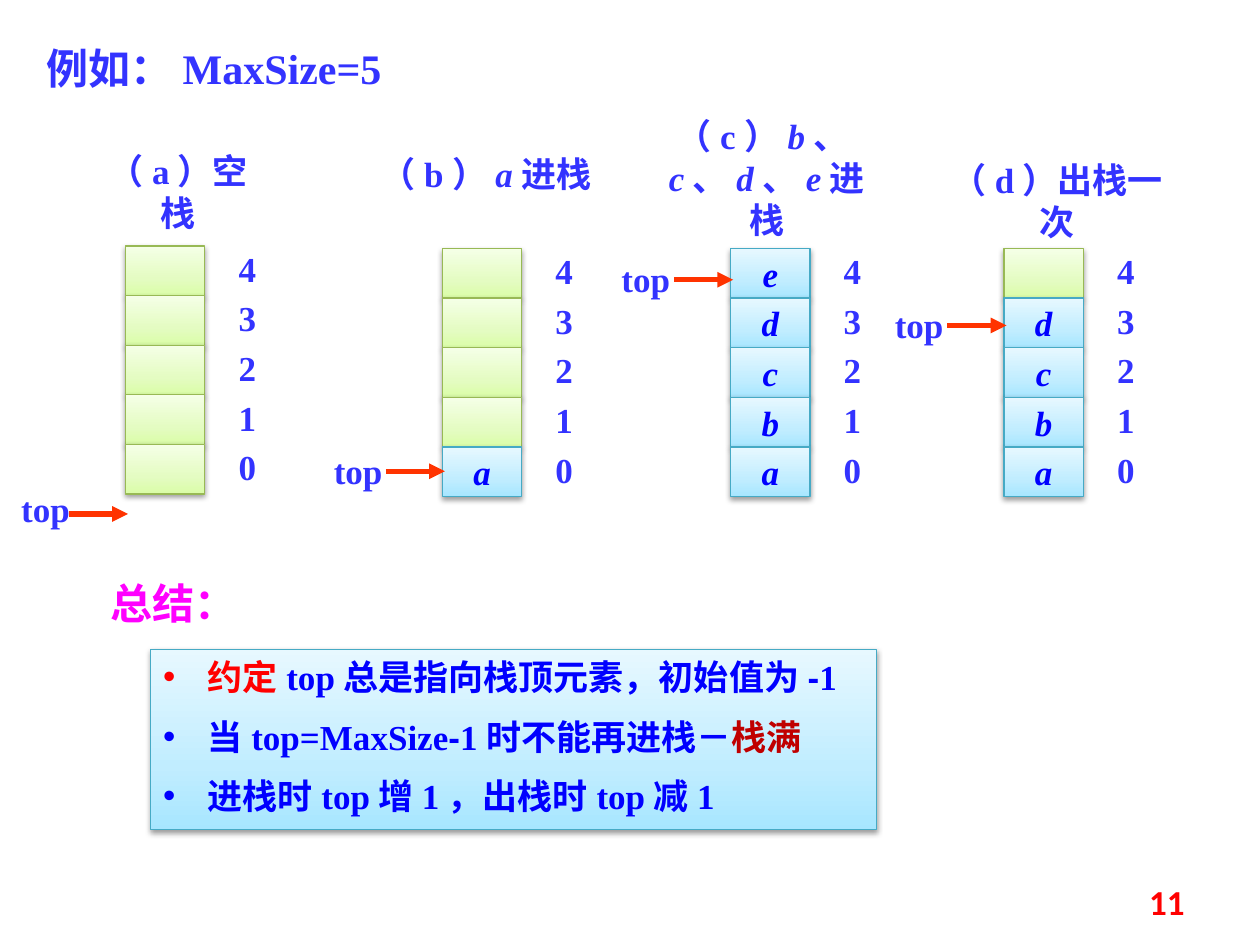
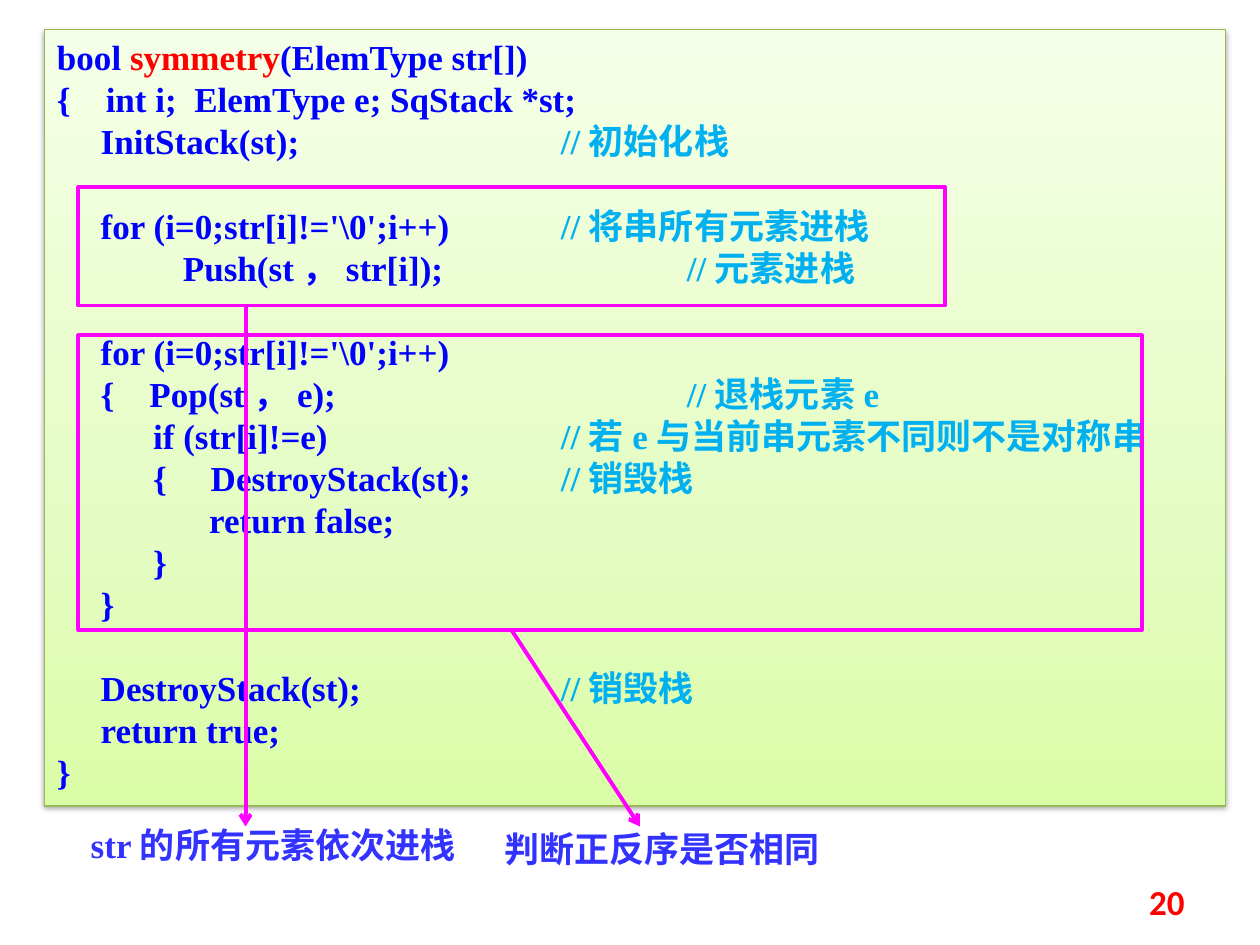
"""Build two lecture slides: sequential stack states and a symmetry check with a stack."""
from lxml import etree
from pptx import Presentation
from pptx.dml.color import RGBColor
from pptx.enum import shapes, text as t
from pptx.oxml.ns import qn
from pptx.util import Cm, Inches, Pt

INDIGO = RGBColor(0x33, 0x33, 0xFF)
BLUE = RGBColor(0x00, 0x00, 0xFF)
RED = RGBColor(0xFF, 0x00, 0x00)
DARK_RED = RGBColor(0xC0, 0x00, 0x00)
ORANGE = RGBColor(0xFF, 0x33, 0x00)
MAGENTA = RGBColor(0xFF, 0x00, 0xFF)
SKY = RGBColor(0x00, 0xB0, 0xF0)
GREEN_LINE = RGBColor(0x98, 0xB9, 0x55)
AQUA_LINE = RGBColor(0x46, 0xAA, 0xC5)
GREEN = (GREEN_LINE, ("DAFDA7", "E4FCC2", "F5FFE7"))
AQUA = (AQUA_LINE, ("A7E6FF", "C1EDFF", "E7F8FF"))
SERIF = "Times New Roman"
CHINESE = "Noto Sans CJK SC"
CENTER = t.PP_ALIGN.CENTER
MIDDLE = t.MSO_ANCHOR.MIDDLE


def make_panel(page, place, theme):
    """Add a shadowed rectangle with a vertical gradient."""
    line_color, stops = theme
    panel = page.shapes.add_shape(shapes.MSO_SHAPE.RECTANGLE, *map(Cm, place))
    panel.fill.gradient()
    panel.fill.gradient_angle = 90
    stop_list = panel._element.spPr.find(".//" + qn("a:gsLst"))
    for old_stop in list(stop_list):
        stop_list.remove(old_stop)
    for position, stop_color in zip((0, 35000, 100000), stops):
        stop = etree.SubElement(stop_list, qn("a:gs"), pos=str(position))
        etree.SubElement(stop, qn("a:srgbClr"), val=stop_color)
    panel.line.color.rgb = line_color
    panel.line.width = Pt(0.75)
    panel.shadow.inherit = False
    effects = panel._element.spPr.find(qn("a:effectLst"))
    shadow = etree.SubElement(effects, qn("a:outerShdw"), blurRad="40000", dist="20000",
                              dir="5400000", rotWithShape="0")
    tint = etree.SubElement(shadow, qn("a:srgbClr"), val="000000")
    etree.SubElement(tint, qn("a:alpha"), val="38000")
    return panel


def write(page, place, paragraphs, theme=None, size=20, font=SERIF, color=INDIGO, bold=True,
          italic=False, align=t.PP_ALIGN.LEFT, anchor=t.MSO_ANCHOR.TOP, bullet=None, gaps=None,
          tab_count=0):
    """Write paragraphs of spans into a text box, or into a panel when a theme is given."""
    box = make_panel(page, place, theme) if theme else page.shapes.add_textbox(*map(Cm, place))
    frame = box.text_frame
    frame.word_wrap = True
    frame.vertical_anchor = anchor
    for index, spans in enumerate(paragraphs):
        para = frame.paragraphs[0] if index == 0 else frame.add_paragraph()
        properties = para._p.get_or_add_pPr()
        if bullet:
            properties.set("marL", str(Cm(0.9)))
            properties.set("indent", str(-Cm(0.9)))
            etree.SubElement(properties, qn("a:buFont"), typeface="Arial")
            etree.SubElement(properties, qn("a:buChar"), char=bullet)
        if tab_count:
            tabs = etree.SubElement(properties, qn("a:tabLst"))
            for number in range(1, tab_count + 1):
                etree.SubElement(tabs, qn("a:tab"), pos=str(Inches(number)), algn="l")
        para.alignment = align
        para.line_spacing = Pt(size * 1.2)
        if gaps and index in gaps:
            para.space_before = Pt(gaps[index])
        for content, changes in spans:
            span = para.add_run()
            span.text = content
            span.font.size = Pt(size)
            span.font.bold = bold
            span.font.italic = changes.get("italic", italic)
            span.font.color.rgb = changes.get("color", color)
            span.font.name = changes.get("font", font)
            etree.SubElement(span._r.get_or_add_rPr(), qn("a:ea"), typeface=CHINESE)


deck = Presentation()
deck.slide_width, deck.slide_height = Cm(25.4), Cm(19.05)
stack_page, code_page = [deck.slides.add_slide(deck.slide_layouts[6]) for _ in range(2)]
arrows = []

write(stack_page, (0.69, 0.73, 8.2, 1.27), [[("例如：MaxSize=5", {})]], size=24)

ITALIC = {"italic": True}
stacks = [
    (2.53, 4.96, "", 10.36, (0.12, 9.7), (1.6, 2.88, 3.99, 1.09), [("（a）空栈", {})]),
    (8.92, 5.01, "a", 9.5, (6.42, 8.94), (7.4, 2.95, 4.8, 1.09),
     [("（b）", {}), ("a", ITALIC), ("进栈", {})]),
    (14.73, 5.01, "abcde", 5.64, (12.22, 5.06), (13.21, 2.18, 4.5, 1.96),
     [("（c）", {}), ("b", ITALIC), ("、", {}), ("c", ITALIC), ("、", {}), ("d", ITALIC),
      ("、", {}), ("e", ITALIC), ("进栈", {})]),
    (20.24, 5.01, "abcd", 6.56, (17.73, 5.99), (18.72, 3.07, 5.18, 1.09), [("（d）出栈一次", {})]),
]
for left, top, elements, arrow_y, label_corner, caption_place, caption in stacks:
    for row in range(5):
        index = 4 - row
        cell = (left, top + row, 1.6, 1)
        if index < len(elements):
            write(stack_page, cell, [[(elements[index], {})]], theme=AQUA, color=BLUE,
                  italic=True, align=CENTER, anchor=MIDDLE)
        else:
            make_panel(stack_page, cell, GREEN)
        write(stack_page, (left + 1.86, top + row - 0.1, 1.19, 1.09), [[(str(index), {})]],
              align=CENTER)
    arrows.append((stack_page, (left - 1.14, arrow_y, left + 0.05, arrow_y), ORANGE, 3, "triangle"))
    write(stack_page, (*label_corner, 1.6, 1.09), [[("top", {})]], align=CENTER)
    write(stack_page, caption_place, [caption], align=CENTER)

write(stack_page, (1.98, 11.51, 3.61, 1.27), [[("总结：", {})]], size=24, font=CHINESE,
      color=MAGENTA)
summary = [
    [("约定", {"color": RED}), ("top总是指向栈顶元素，初始值为", {}), ("-", {"font": "Arial"}),
     ("1", {})],
    [("当top=MaxSize", {}), ("-", {"font": "Arial"}), ("1时不能再进栈－", {}),
     ("栈满", {"color": DARK_RED})],
    [("进栈时top增1，出栈时top减1", {})],
]
write(stack_page, (3.04, 13.09, 14.63, 3.64), summary, theme=AQUA, color=BLUE, bullet="•",
      gaps={1: 10, 2: 10})

NOTE = {"color": SKY}
code = [
    [("bool ", {}), ("symmetry", {"color": RED}), ("(ElemType str[])", {})],
    [("{    int i;  ElemType e; SqStack *st;", {})],
    [("     InitStack(st);\t\t\t", {}), ("//初始化栈", NOTE)],
    [("     for (i=0;str[i]!='\\0';i++)\t", {}), ("//将串所有元素进栈", NOTE)],
    [("\tPush(st，str[i]);\t\t", {}), ("//元素进栈", NOTE)],
    [("     for (i=0;str[i]!='\\0';i++)", {})],
    [("     {    Pop(st，e);\t\t\t", {}), ("//退栈元素e", NOTE)],
    [("           if (str[i]!=e)\t \t", {}), ("//若e与当前串元素不同则不是对称串", NOTE)],
    [("           {     DestroyStack(st);\t", {}), ("//销毁栈", NOTE)],
    [("\t   return false;", {})],
    [("           }", {})],
    [("     }", {})],
    [("     DestroyStack(st);\t \t", {}), ("//销毁栈", NOTE)],
    [("     return true;", {})],
    [("}", {})],
]
write(code_page, (0.9, 0.6, 23.8, 15.65), code, theme=GREEN, color=BLUE,
      gaps={3: 24, 5: 24, 12: 24}, tab_count=5)

steps = [
    ((1.58, 3.77, 17.48, 2.39), (1.58, 16.48, 8.94, 1.12), "str的所有元素依次进栈",
     (4.95, 6.15, 4.95, 16.66)),
    ((1.58, 6.76, 21.44, 5.94), (9.92, 16.56, 7.14, 1.12), "判断正反序是否相同",
     (10.31, 12.7, 12.9, 16.66)),
]
for outline_place, label_place, label, ends in steps:
    outline = code_page.shapes.add_shape(shapes.MSO_SHAPE.RECTANGLE, *map(Cm, outline_place))
    outline.fill.background()
    outline.line.color.rgb = MAGENTA
    outline.line.width = Pt(2.25)
    outline.shadow.inherit = False
    write(code_page, label_place, [[(label, {})]])
    arrows.append((code_page, ends, MAGENTA, 2.25, "arrow"))

for page, ends, color, width, head in arrows:
    arrow = page.shapes.add_connector(shapes.MSO_CONNECTOR.STRAIGHT, *map(Cm, ends))
    arrow.line.color.rgb = color
    arrow.line.width = Pt(width)
    etree.SubElement(arrow.line._get_or_add_ln(), qn("a:tailEnd"), type=head)
    etree.SubElement(arrow._element.spPr, qn("a:effectLst"))

for page, number in ((stack_page, "11"), (code_page, "20")):
    write(page, (18.21, 17.67, 5.92, 1.02), [[(number, {})]], font="Calibri", color=RED,
          align=t.PP_ALIGN.RIGHT, anchor=MIDDLE)

deck.save("out.pptx")
